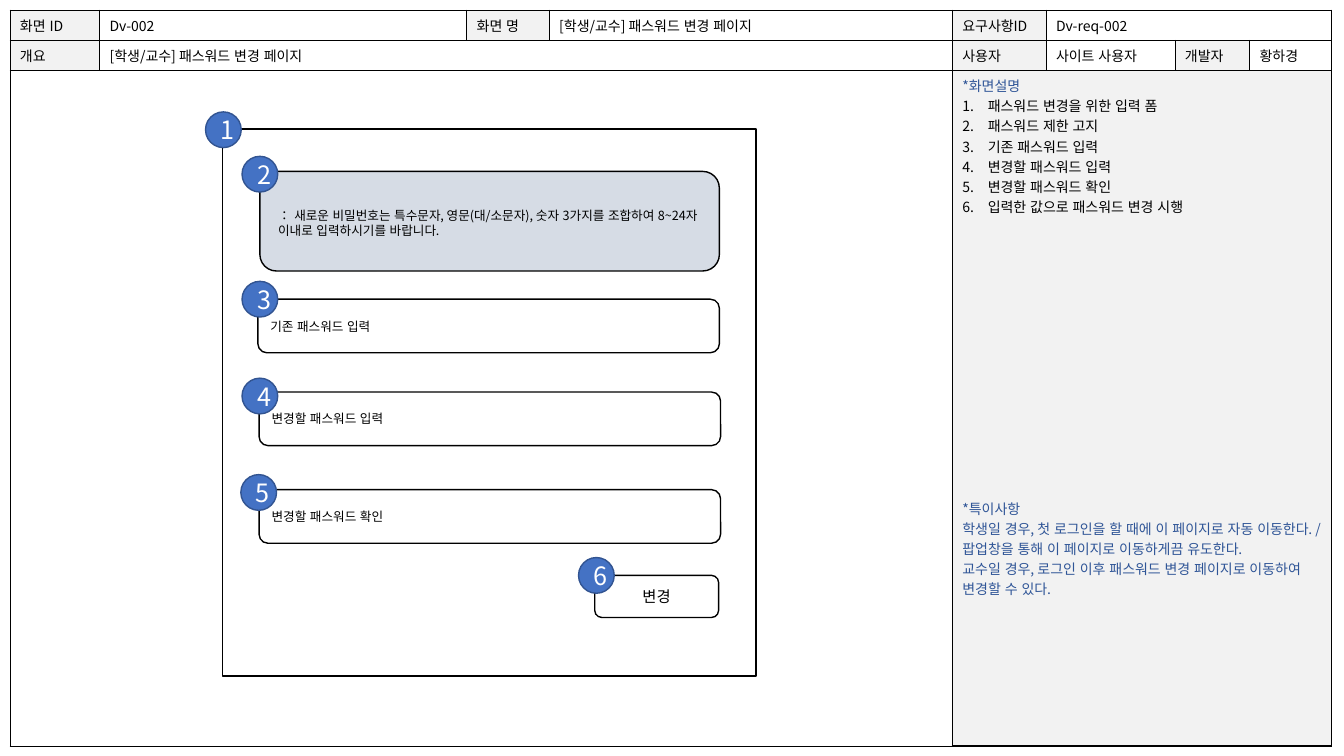
from dataclasses import dataclass

from lxml import etree
from pptx import Presentation
from pptx.dml.color import RGBColor
from pptx.enum.lang import MSO_LANGUAGE_ID
from pptx.enum.shapes import MSO_SHAPE
from pptx.enum.text import MSO_ANCHOR, PP_ALIGN
from pptx.oxml.ns import qn
from pptx.util import Cm, Pt

RECT, ROUND, OVAL = MSO_SHAPE.RECTANGLE, MSO_SHAPE.ROUNDED_RECTANGLE, MSO_SHAPE.OVAL
LEFT, CENTER = PP_ALIGN.LEFT, PP_ALIGN.CENTER
MIDDLE = MSO_ANCHOR.MIDDLE
KOREAN = MSO_LANGUAGE_ID.KOREAN
BLACK = RGBColor(0x00, 0x00, 0x00)
WHITE = RGBColor(0xFF, 0xFF, 0xFF)
GRAY = RGBColor(0xF2, 0xF2, 0xF2)
NAVY = RGBColor(0x2F, 0x55, 0x97)
NOTICE = RGBColor(0xD6, 0xDC, 0xE5)
BLUE = RGBColor(0x44, 0x72, 0xC4)
BLUE_LINE = RGBColor(0x32, 0x54, 0x91)
FONT = "Noto Sans CJK KR"

COLS = (2.26, 9.25, 2.08, 10.16, 2.36, 3.25, 1.88, 2.06)
ROWS = (0.76, 0.76, 17.02)
INDENT = Cm(0.64)
NOTES_GAP = Pt(201)
BADGE = 0.9


@dataclass
class Cell:
    row: int
    col: int
    text: str = ""
    span: int = 1
    fill: RGBColor = WHITE
    thick: str = ""


@dataclass
class Box:
    x: float
    y: float
    w: float
    h: float
    text: str = ""
    kind: MSO_SHAPE = ROUND
    size: float = 9
    align: PP_ALIGN = LEFT
    fill: RGBColor = WHITE
    line: RGBColor = BLACK
    color: RGBColor = BLACK


PAGE = "[학생/교수] 패스워드 변경 페이지"
CELLS = (
    Cell(0, 0, "화면 ID", fill=GRAY),
    Cell(0, 1, "Dv-002"),
    Cell(0, 2, "화면 명", fill=GRAY),
    Cell(0, 3, PAGE),
    Cell(0, 4, "요구사항ID", fill=GRAY),
    Cell(0, 5, "Dv-req-002", span=3),
    Cell(1, 0, "개요", fill=GRAY),
    Cell(1, 1, PAGE, span=3),
    Cell(1, 4, "사용자", fill=GRAY),
    Cell(1, 5, "사이트 사용자"),
    Cell(1, 6, "개발자", fill=GRAY),
    Cell(1, 7, "황하경"),
    Cell(2, 0, span=4, thick="R"),
    Cell(2, 4, span=4, fill=GRAY, thick="LB"),
)
STEPS = (
    "패스워드 변경을 위한 입력 폼",
    "패스워드 제한 고지",
    "기존 패스워드 입력",
    "변경할 패스워드 입력",
    "변경할 패스워드 확인",
    "입력한 값으로 패스워드 변경 시행",
)
NOTES = (
    "*특이사항",
    "학생일 경우, 첫 로그인을 할 때에 이 페이지로 자동 이동한다. / "
    "팝업창을 통해 이 페이지로 이동하게끔 유도한다.",
    "교수일 경우, 로그인 이후 패스워드 변경 페이지로 이동하여 변경할 수 있다.",
)
RULE = ("： 새로운 비밀번호는 특수문자, 영문(대/소문자), 숫자 3가지를 조합하여 "
        "8~24자 이내로 입력하시기를 바랍니다.")
FORM = (
    Box(5.61, 3.25, 13.44, 13.79, kind=RECT),
    Box(6.55, 4.32, 11.58, 2.51, fill=NOTICE),
    Box(6.5, 7.54, 11.63, 1.35, "기존 패스워드 입력"),
    Box(6.53, 9.88, 11.63, 1.35, "변경할 패스워드 입력"),
    Box(6.53, 12.34, 11.63, 1.35, "변경할 패스워드 확인"),
    Box(14.99, 14.5, 3.12, 1.06, "변경", size=11, align=CENTER),
)
BADGES = ((5.18, 2.82), (6.1, 3.94), (6.1, 7.09), (6.1, 9.53), (6.07, 11.96), (14.58, 14.05))


def write(p, text: str, size: float = 10, color: RGBColor = BLACK) -> None:
    r = p.add_run()
    r.text = text
    fmt = {"name": FONT, "size": Pt(size), "language_id": KOREAN}
    for key, value in fmt.items():
        setattr(r.font, key, value)
    r.font.color.rgb = color
    etree.SubElement(r.font._element, qn("a:ea"), typeface=FONT)


def set_borders(cell, thick: str) -> None:
    tcPr = cell._tc.get_or_add_tcPr()
    for side in "LRTB":
        width = Pt(1 if side in thick else 0.5)
        ln = etree.SubElement(tcPr, qn(f"a:ln{side}"), w=str(width))
        fill = etree.SubElement(ln, qn("a:solidFill"))
        etree.SubElement(fill, qn("a:srgbClr"), val=str(BLACK))


def add_spec_table(s):
    table = s.shapes.add_table(len(ROWS), len(COLS), Cm(0.25), Cm(0.25),
                               Cm(sum(COLS)), Cm(sum(ROWS))).table
    table.first_row = table.horz_banding = False
    for col, width in zip(table.columns, COLS):
        col.width = Cm(width)
    for row, height in zip(table.rows, ROWS):
        row.height = Cm(height)
    for item in CELLS:
        last = item.col + item.span - 1
        for col in range(item.col, last + 1):
            cell = table.cell(item.row, col)
            set_borders(cell, item.thick)
            cell.fill.solid()
            cell.fill.fore_color.rgb = item.fill
        cell = table.cell(item.row, item.col)
        if item.span > 1:
            cell.merge(table.cell(item.row, last))
        if item.text:
            write(cell.text_frame.paragraphs[0], item.text)
    return table


def fill_description(tf) -> None:
    write(tf.paragraphs[0], "*화면설명", color=NAVY)
    for step in STEPS:
        p = tf.add_paragraph()
        write(p, step)
        pPr = p._p.get_or_add_pPr()
        pPr.set("marL", str(INDENT))
        pPr.set("indent", str(-INDENT))
        etree.SubElement(pPr, qn("a:buFont"), typeface="+mj-lt")
        etree.SubElement(pPr, qn("a:buAutoNum"), type="arabicPeriod")
    for i, note in enumerate(NOTES):
        p = tf.add_paragraph()
        if i == 0:
            p.space_before = NOTES_GAP
        write(p, note, color=NAVY)


def add_box(s, box: Box) -> None:
    sp = s.shapes.add_shape(box.kind, Cm(box.x), Cm(box.y), Cm(box.w), Cm(box.h))
    sp.shadow.inherit = False
    sp.fill.solid()
    sp.fill.fore_color.rgb = box.fill
    sp.line.color.rgb = box.line
    sp.line.width = Pt(1)
    if box.text:
        tf = sp.text_frame
        tf.vertical_anchor = MIDDLE
        p = tf.paragraphs[0]
        p.alignment = box.align
        write(p, box.text, box.size, box.color)


def main() -> None:
    prs = Presentation()
    prs.slide_width, prs.slide_height = Cm(33.87), Cm(19.05)
    s = prs.slides.add_slide(prs.slide_layouts[6])
    table = add_spec_table(s)
    fill_description(table.cell(2, 4).text_frame)
    for box in FORM:
        add_box(s, box)
    tf = s.shapes.add_textbox(Cm(6.76), Cm(5.11), Cm(11.4), Cm(1.02)).text_frame
    tf.word_wrap = True
    write(tf.paragraphs[0], RULE, 9)
    for number, (x, y) in enumerate(BADGES, 1):
        add_box(s, Box(x, y, BADGE, BADGE, str(number), OVAL, 18, CENTER, BLUE, BLUE_LINE, WHITE))
    prs.save("out.pptx")


if __name__ == "__main__":
    main()
